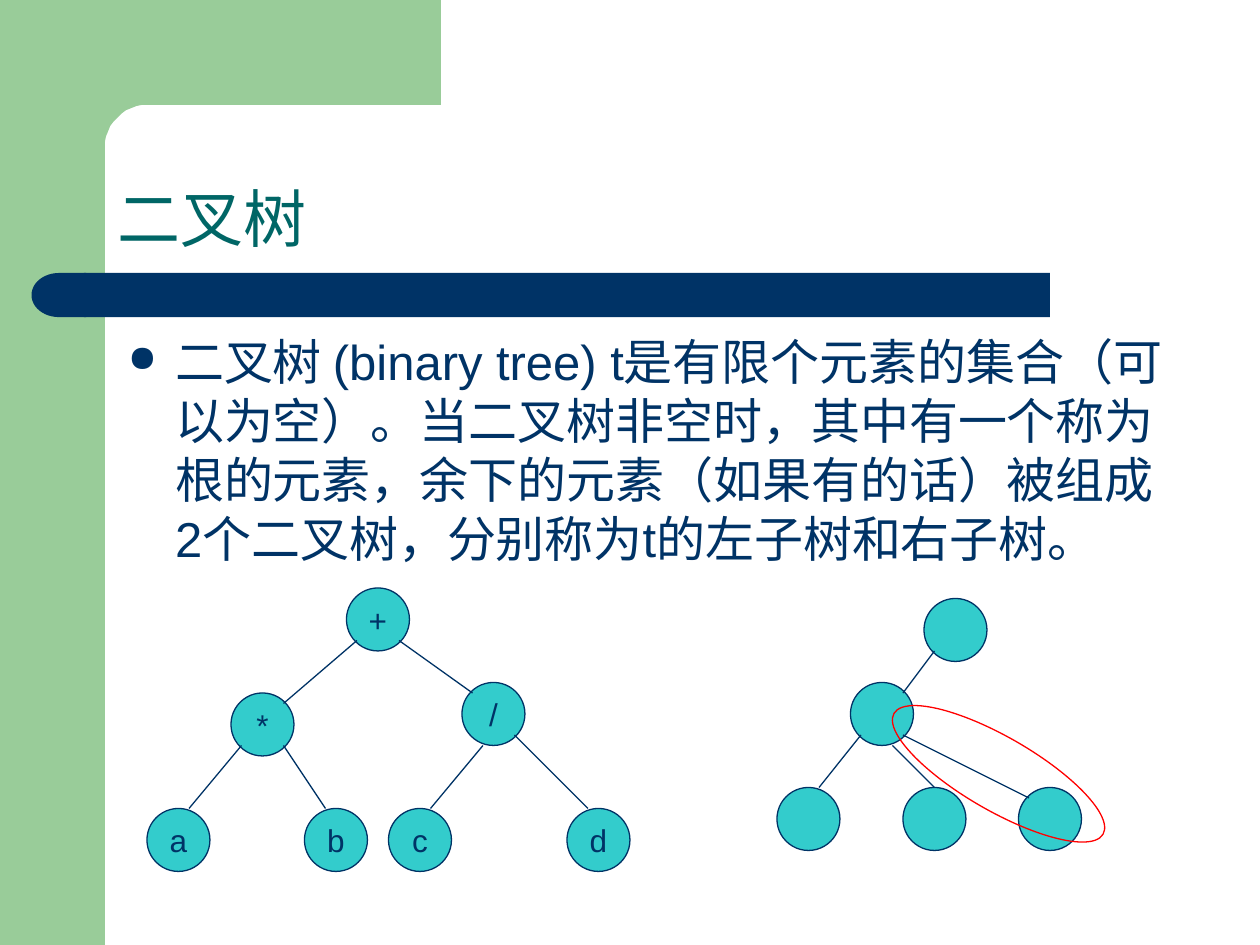
from math import cos, pi, sin

from lxml.etree import SubElement
from pptx import Presentation
from pptx.dml.color import RGBColor
from pptx.enum.shapes import MSO_CONNECTOR, MSO_SHAPE
from pptx.enum.text import MSO_ANCHOR, PP_ALIGN
from pptx.oxml.ns import qn
from pptx.util import Pt

PX = 7620
NODE_SIZE = 60
FONT = "Arial"
GREEN = RGBColor(0x99, 0xCC, 0x99)
NAVY = RGBColor(0x00, 0x33, 0x66)
TEAL = RGBColor(0x00, 0x66, 0x66)
CYAN = RGBColor(0x33, 0xCC, 0xCC)
RED = RGBColor(0xFF, 0x00, 0x00)

TITLE = "二叉树"
DEFINITION = (
    "二叉树 (binary tree) t是有限个元素的集合（可以为空）。"
    "当二叉树非空时，其中有一个称为根的元素，余下的元素（如果有的话）"
    "被组成2个二叉树，分别称为t的左子树和右子树。"
)
EXPRESSION_NODES = [
    ("+", 330, 560), ("b", 290, 770), ("/", 440, 650), ("d", 540, 770),
    ("c", 370, 770), ("*", 220, 660), ("a", 140, 770),
]
EXPRESSION_EDGES = [
    (340, 610, 270, 670), (380, 610, 450, 660), (230, 710, 180, 770),
    (270, 710, 310, 770), (460, 710, 410, 770), (490, 700, 560, 770),
]
INVALID_NODES = [
    ("", 880, 570), ("", 860, 750), ("", 970, 750), ("", 740, 750), ("", 810, 650),
]
INVALID_EDGES = [
    (890, 620, 860, 660), (820, 700, 780, 750),
    (850, 710, 890, 750), (860, 700, 980, 760),
]


def px(*lengths):
    """Turn pixel lengths into EMU."""
    return [length * PX for length in lengths]


def paint(shape, fill=None, line=None):
    """Set the fill and outline of a shape, leaving out what is None."""
    shape.shadow.inherit = False
    if fill is None:
        shape.fill.background()
    else:
        shape.fill.solid()
        shape.fill.fore_color.rgb = fill
    if line is None:
        shape.line.fill.background()
    else:
        shape.line.color.rgb = line
        shape.line.width = Pt(0.75)


def add_shape(slide, kind, box, fill=None, line=None):
    """Add a painted preset shape."""
    shape = slide.shapes.add_shape(kind, *px(*box))
    paint(shape, fill, line)
    return shape


def write(paragraph, text, size, color):
    """Put text into a paragraph in the slide font."""
    paragraph.text = text
    paragraph.font.name = FONT
    paragraph.font.size = Pt(size)
    paragraph.font.color.rgb = color


def add_corner(slide):
    """Add the green top band with its rounded inner corner."""
    radius, center, steps = 40, 140, 12
    angles = [step * pi / 2 / steps for step in range(steps + 1)]
    arc = [
        (round(center - radius * sin(angle)), round(center - radius * cos(angle)))
        for angle in angles
    ]
    builder = slide.shapes.build_freeform(420, 0, scale=PX)
    builder.add_line_segments([(420, 100), *arc, (100, 154), (60, 154), (60, 0)])
    paint(builder.convert_to_shape(), GREEN)


def add_background(slide):
    """Add the green frame and the navy bar."""
    add_shape(slide, MSO_SHAPE.RECTANGLE, (0, 0, 100, 900), GREEN)
    add_corner(slide)
    add_shape(slide, MSO_SHAPE.RECTANGLE, (80, 260, 920, 42), NAVY)
    cap = add_shape(slide, MSO_SHAPE.FLOWCHART_DELAY, (30, 260, 52, 42), NAVY)
    cap.element.spPr.get_or_add_xfrm().set("flipH", "1")


def add_text(slide, box, text, size, color, anchor=MSO_ANCHOR.TOP):
    """Add a wrapping text box and return its paragraph."""
    frame = slide.shapes.add_textbox(*px(*box)).text_frame
    frame.word_wrap = True
    frame.vertical_anchor = anchor
    paragraph = frame.paragraphs[0]
    write(paragraph, text, size, color)
    return paragraph


def add_bullet(paragraph, color):
    """Give a paragraph a hanging round bullet."""
    properties = paragraph._p.get_or_add_pPr()
    properties.set("marL", str(45 * PX))
    properties.set("indent", str(-45 * PX))
    bullet_color = properties.makeelement(qn("a:buClr"), {})
    SubElement(bullet_color, qn("a:srgbClr"), val=str(color))
    bullet_size = properties.makeelement(qn("a:buSzPct"), {"val": "75000"})
    bullet = properties.makeelement(qn("a:buChar"), {"char": "●"})
    for position, element in enumerate((bullet_color, bullet_size, bullet)):
        properties.insert(position, element)


def add_node(slide, label, left, top):
    """Add a round tree node with an optional label."""
    box = (left, top, NODE_SIZE, NODE_SIZE)
    node = add_shape(slide, MSO_SHAPE.OVAL, box, CYAN, NAVY)
    if label:
        frame = node.text_frame
        frame.word_wrap = False
        frame.vertical_anchor = MSO_ANCHOR.MIDDLE
        paragraph = frame.paragraphs[0]
        paragraph.alignment = PP_ALIGN.CENTER
        write(paragraph, label, 18, NAVY)


def add_edge(slide, ends):
    """Add a thin line between two nodes."""
    edge = slide.shapes.add_connector(MSO_CONNECTOR.STRAIGHT, *px(*ends))
    edge.line.color.rgb = NAVY
    edge.line.width = Pt(0.75)
    SubElement(edge.element.spPr, qn("a:effectLst"))


def add_tree(slide, nodes, edges):
    """Add the nodes of a tree and then its edges."""
    for node in nodes:
        add_node(slide, *node)
    for ends in edges:
        add_edge(slide, ends)


def main():
    """Build the binary tree slide and save it."""
    presentation = Presentation()
    presentation.slide_width, presentation.slide_height = px(1200, 900)
    slide = presentation.slides.add_slide(presentation.slide_layouts[6])
    add_background(slide)
    title = add_text(slide, (100, 100, 1040, 150), TITLE, 36, TEAL, MSO_ANCHOR.BOTTOM)
    title.line_spacing = 0.9
    definition = add_text(slide, (110, 310, 1009, 488), DEFINITION, 28, NAVY)
    add_bullet(definition, NAVY)
    add_tree(slide, EXPRESSION_NODES, EXPRESSION_EDGES)
    add_tree(slide, INVALID_NODES, INVALID_EDGES)
    extra_branch = add_shape(slide, MSO_SHAPE.OVAL, (836, 702, 230, 70), line=RED)
    extra_branch.rotation = 30
    presentation.save("out.pptx")


if __name__ == "__main__":
    main()
